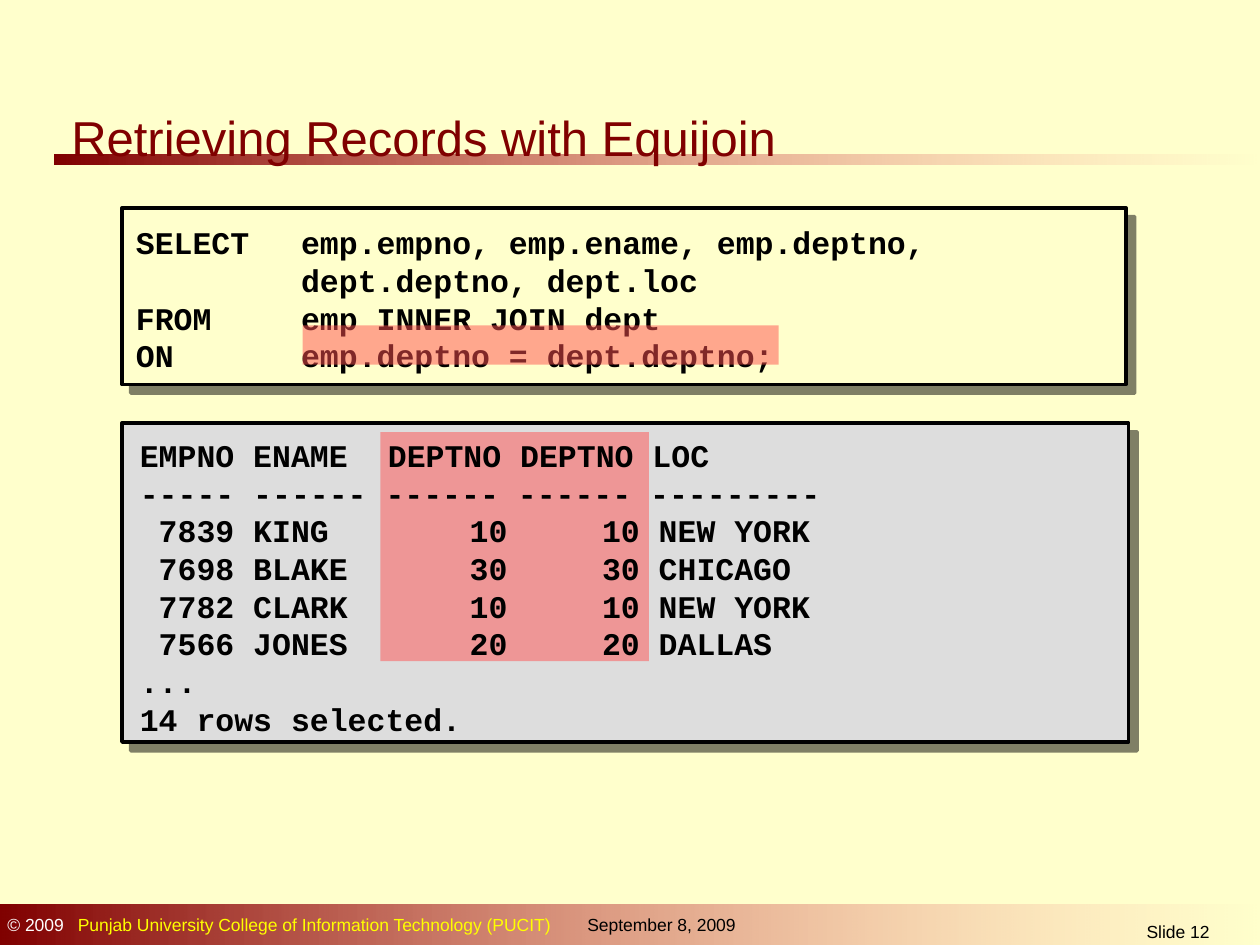
from lxml import etree
from pptx import Presentation
from pptx.dml.color import RGBColor
from pptx.enum import shapes, text
from pptx.oxml import ns
from pptx.util import Cm, Pt

CREAM = RGBColor(0xFF, 0xFF, 0xCC)
MAROON = RGBColor(0x80, 0x00, 0x00)
CORAL = RGBColor(0xFF, 0x85, 0x85)
RED = RGBColor(0xFF, 0x50, 0x50)
GREY = RGBColor(0xDD, 0xDD, 0xDD)
BLACK = RGBColor(0x00, 0x00, 0x00)
WHITE = RGBColor(0xFF, 0xFF, 0xFF)
YELLOW = RGBColor(0xFF, 0xFF, 0x00)

QUERY = [
    "SELECT \temp.empno, emp.ename, emp.deptno,\v\tdept.deptno, dept.loc",
    "FROM   \temp INNER JOIN dept",
    "ON  \temp.deptno = dept.deptno;",
]
RESULT = [
    "EMPNO ENAME \tDEPTNO DEPTNO LOC",
    "----- ------ ------ ------ ---------",
    " 7839 KING\t    \t10     10 NEW YORK",
    " 7698 BLAKE  \t    \t30     30 CHICAGO",
    " 7782 CLARK\t    \t10     10 NEW YORK",
    " 7566 JONES      \t20     20 DALLAS",
    "...",
    "14 rows selected.",
]


def add_node(parent, tag, **attributes):
    return etree.SubElement(parent, ns.qn(tag), attributes)


def set_alpha(fill_element, percent):
    color = fill_element.findall(".//" + ns.qn("a:srgbClr"))[-1]
    add_node(color, "a:alpha", val=str(percent * 1000))


def add_block(page, left, top, width, height):
    block = page.shapes.add_shape(
        shapes.MSO_SHAPE.RECTANGLE, Cm(left), Cm(top), Cm(width), Cm(height))
    block.shadow.inherit = False
    block.line.fill.background()
    return block


def add_fading_bar(page, left, top, width, height):
    bar = add_block(page, left, top, width, height)
    bar.fill.gradient()
    bar.fill.gradient_angle = 0
    for stop, color, position in zip(bar.fill.gradient_stops, (MAROON, CORAL), (0, 1)):
        stop.color.rgb = color
        stop.position = position
    set_alpha(bar._element.spPr, 0)


def add_highlight(page, left, top, width, height):
    highlight = add_block(page, left, top, width, height)
    highlight.fill.solid()
    highlight.fill.fore_color.rgb = RED
    set_alpha(highlight._element.spPr, 50)


def add_panel(page, left, top, width, height, color):
    panel = add_block(page, left, top, width, height)
    panel.fill.solid()
    panel.fill.fore_color.rgb = color
    panel.line.color.rgb = BLACK
    panel.line.width = Pt(2)
    effects = panel._element.spPr.find(ns.qn("a:effectLst"))
    shadow = add_node(effects, "a:outerShdw", dist=str(Pt(7.1)), dir="2700000",
                      algn="ctr", rotWithShape="0")
    add_node(add_node(shadow, "a:srgbClr", val="000000"), "a:alpha", val="50000")


def add_text(page, left, top, width, height, lines, size=10, font="Arial",
             colors=(BLACK,), bold=False, align=text.PP_ALIGN.LEFT,
             anchor=text.MSO_ANCHOR.TOP, tabs=(), spacing=None,
             margins=(0.25, 0.13, 0.25, 0.13)):
    box = page.shapes.add_textbox(Cm(left), Cm(top), Cm(width), Cm(height))
    frame = box.text_frame
    frame.word_wrap = True
    frame.vertical_anchor = anchor
    (frame.margin_left, frame.margin_top,
     frame.margin_right, frame.margin_bottom) = map(Cm, margins)
    for index, line in enumerate(lines):
        para = frame.add_paragraph() if index else frame.paragraphs[0]
        if isinstance(line, str):
            para.text = line
        else:
            for part in line:
                para.add_run().text = part
        if tabs:
            stops = add_node(para._p.get_or_add_pPr(), "a:tabLst")
            for position in tabs:
                add_node(stops, "a:tab", pos=str(Cm(position)), algn="l")
        para.alignment = align
        if spacing:
            para.line_spacing = Pt(spacing)
        for number, span in enumerate(para.runs):
            span.font.name = font
            span.font.size = Pt(size)
            span.font.bold = bold
            span.font.color.rgb = colors[min(number, len(colors) - 1)]
    return box


def add_code(page, left, top, width, height, lines, **options):
    add_text(page, left, top, width, height, lines, size=18, font="Courier New",
             bold=True, spacing=21.55, margins=(0.25, 0.23, 0.25, 0.03), **options)


def add_header(page, left, top, width, height):
    add_fading_bar(page, left - 0.1, top + 1.19, 25.4 - left + 0.1, 0.2)
    add_text(page, left, top, width, height, ["Retrieving Records with Equijoin"],
             size=28, colors=(MAROON,), margins=(0.25, 0.23, 0.25, 0.03))


def add_footer(page, left, top, width, height):
    add_fading_bar(page, left, top, width, height)
    add_text(page, left - 0.1, top + 0.05, 16.41, 0.69,
             [("© 2009", "\tPunjab University College of Information Technology (PUCIT)")],
             colors=(WHITE, YELLOW), tabs=(1.42,))
    add_text(page, left + 10.9, top + 0.05, 4.6, 0.69, ["September 8, 2009"],
             margins=(0.94, 0.13, 0.25, 0.13))
    add_text(page, left + 21.11, top + 0.2, 5.28, 0.61, ["Slide 12"],
             align=text.PP_ALIGN.CENTER)


def add_query(page, left, top, width, height):
    add_panel(page, left, top, width, height, CREAM)
    add_code(page, left + 0.03, top - 0.08, width + 0.08, height + 0.07, QUERY,
             tabs=(3.33,), anchor=text.MSO_ANCHOR.MIDDLE)
    add_highlight(page, left + 3.64, top + 2.37, 9.6, 0.79)


def add_result(page, left, top, width, height):
    add_panel(page, left, top, width, height, GREY)
    add_highlight(page, left + 5.21, top + 0.18, 5.41, 4.62)
    add_code(page, left + 0.11, top + 0.03, width - 0.07, height - 0.08, RESULT,
             tabs=(5, 6.65))


def main():
    deck = Presentation()
    deck.slide_width, deck.slide_height = Cm(25.4), Cm(19.05)
    page = deck.slides.add_slide(deck.slide_layouts[6])
    page.background.fill.solid()
    page.background.fill.fore_color.rgb = CREAM
    add_header(page, 1.19, 1.93, 22.99, 1.09)
    add_query(page, 2.46, 4.19, 20.24, 3.56)
    add_result(page, 2.46, 8.53, 20.29, 6.43)
    add_footer(page, 0, 18.24, 25.4, 0.81)
    deck.save("out.pptx")


if __name__ == "__main__":
    main()
